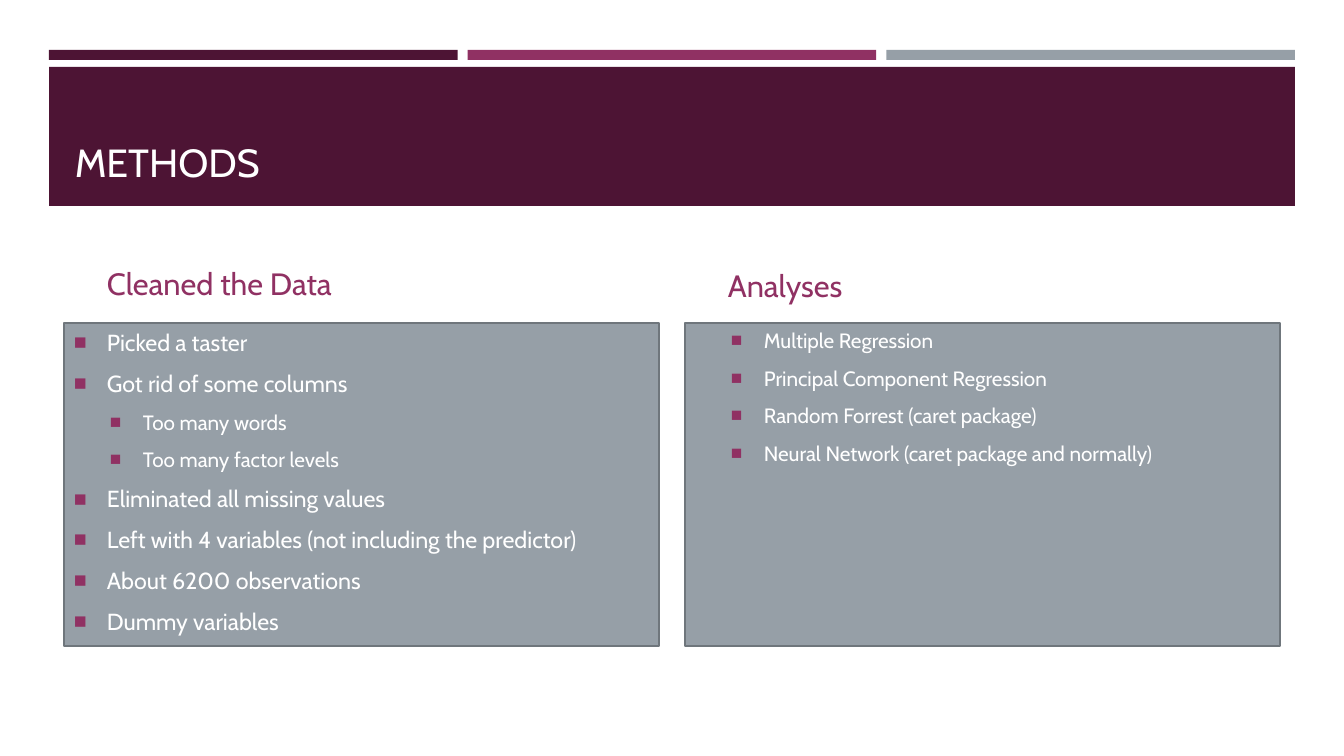
from lxml import etree
from pptx import Presentation
from pptx import util as u
from pptx.dml.color import RGBColor
from pptx.enum import shapes, text
from pptx.oxml.ns import qn

PX = 914400 / 100.8
FONT = "Cabin"
PLUM = RGBColor(0x4D, 0x14, 0x34)
MAGENTA = RGBColor(0x90, 0x31, 0x63)
GREY = RGBColor(0x96, 0x9F, 0xA7)
EDGE = RGBColor(0x6F, 0x76, 0x7C)
WHITE = RGBColor(0xFF, 0xFF, 0xFF)

BULLET_SIZES = (16.6, 14.8)  # points, by level
BULLET_INDENTS = (33, 69)  # px, by level
HANG = 33

CLEANING = [
    ("Picked a taster", 0),
    ("Got rid of some columns", 0),
    ("Too many words", 1),
    ("Too many factor levels", 1),
    ("Eliminated all missing values", 0),
    ("Left with 4 variables (not including the predictor)", 0),
    ("About 6200 observations", 0),
    ("Dummy variables", 0),
]
ANALYSES = [
    ("Multiple Regression", 1),
    ("Principal Component Regression", 1),
    ("Random Forrest (caret package)", 1),
    ("Neural Network (caret package and normally)", 1),
]


def px(n):
    return u.Emu(round(n * PX))


def set_attrs(obj, values):
    for name, value in values.items():
        setattr(obj, name, value)


def add_rect(slide, box, fill, edge=None):
    sp = slide.shapes.add_shape(shapes.MSO_SHAPE.RECTANGLE, *map(px, box))
    sp.shadow.inherit = False
    sp.fill.solid()
    sp.fill.fore_color.rgb = fill
    if edge is None:
        sp.line.fill.background()
    else:
        sp.line.color.rgb = edge
        sp.line.width = u.Pt(1.75)
    return sp


def write(p, words, size, color):
    r = p.add_run()
    r.text = words
    set_attrs(r.font, {"name": FONT, "size": u.Pt(size)})
    r.font.color.rgb = color


def add_label(slide, box, words, size, color):
    """Place one line of text at the bottom of the box."""
    tf = slide.shapes.add_textbox(*map(px, box)).text_frame
    set_attrs(tf, {"word_wrap": True, "vertical_anchor": text.MSO_ANCHOR.BOTTOM})
    write(tf.paragraphs[0], words, size, color)


def add_bullet(p, level):
    pPr = p._p.get_or_add_pPr()
    pPr.set("marL", str(px(BULLET_INDENTS[level])))
    pPr.set("indent", str(-px(HANG)))
    color = etree.SubElement(pPr, qn("a:buClr"))
    etree.SubElement(color, qn("a:srgbClr"), val=str(MAGENTA))
    etree.SubElement(pPr, qn("a:buSzPct"), val="92000")
    etree.SubElement(pPr, qn("a:buFont"), typeface="Arial")
    etree.SubElement(pPr, qn("a:buChar"), char="■")


def header(slide, box, title):
    """Draw three thin bars over a title band."""
    left, top, width, height = box
    gap, bar_height, band_top = 10, 10, 17
    bar_width = (width - 2 * gap) / 3
    for i, color in enumerate((PLUM, MAGENTA, GREY)):
        add_rect(slide, (left + i * (bar_width + gap), top, bar_width, bar_height), color)
    add_rect(slide, (left, top + band_top, width, height - band_top), PLUM)
    add_label(slide, (left + 16, top + 31, width - 30, 109), title, 28, WHITE)


def column(slide, box, heading, heading_height, items):
    """Draw a heading over a panel of bulleted lines."""
    left, top, width, height = box
    panel_top = 75
    add_label(slide, (left + HANG, top, width - HANG, heading_height), heading, 22, MAGENTA)
    panel = (left, top + panel_top, width, height - panel_top)
    tf = add_rect(slide, panel, GREY, EDGE).text_frame
    set_attrs(tf, {"word_wrap": True, "vertical_anchor": text.MSO_ANCHOR.TOP})
    for i, (words, level) in enumerate(items):
        p = tf.add_paragraph() if i else tf.paragraphs[0]
        size = BULLET_SIZES[level]
        set_attrs(p, {
            "level": level,
            "alignment": text.PP_ALIGN.LEFT,
            "space_before": u.Pt(round(size * 0.2, 1)),
            "space_after": u.Pt(6),
        })
        add_bullet(p, level)
        write(p, words, size, WHITE)


def main():
    prs = Presentation()
    set_attrs(prs, {"slide_width": px(1344), "slide_height": px(756)})
    slide = prs.slides.add_slide(prs.slide_layouts[6])
    header(slide, (49, 50, 1246, 156), "METHODS")
    column(slide, (64, 248, 595, 398), "Cleaned the Data", 59, CLEANING)
    column(slide, (685, 248, 595, 398), "Analyses", 61, ANALYSES)
    prs.save("out.pptx")


if __name__ == "__main__":
    main()
